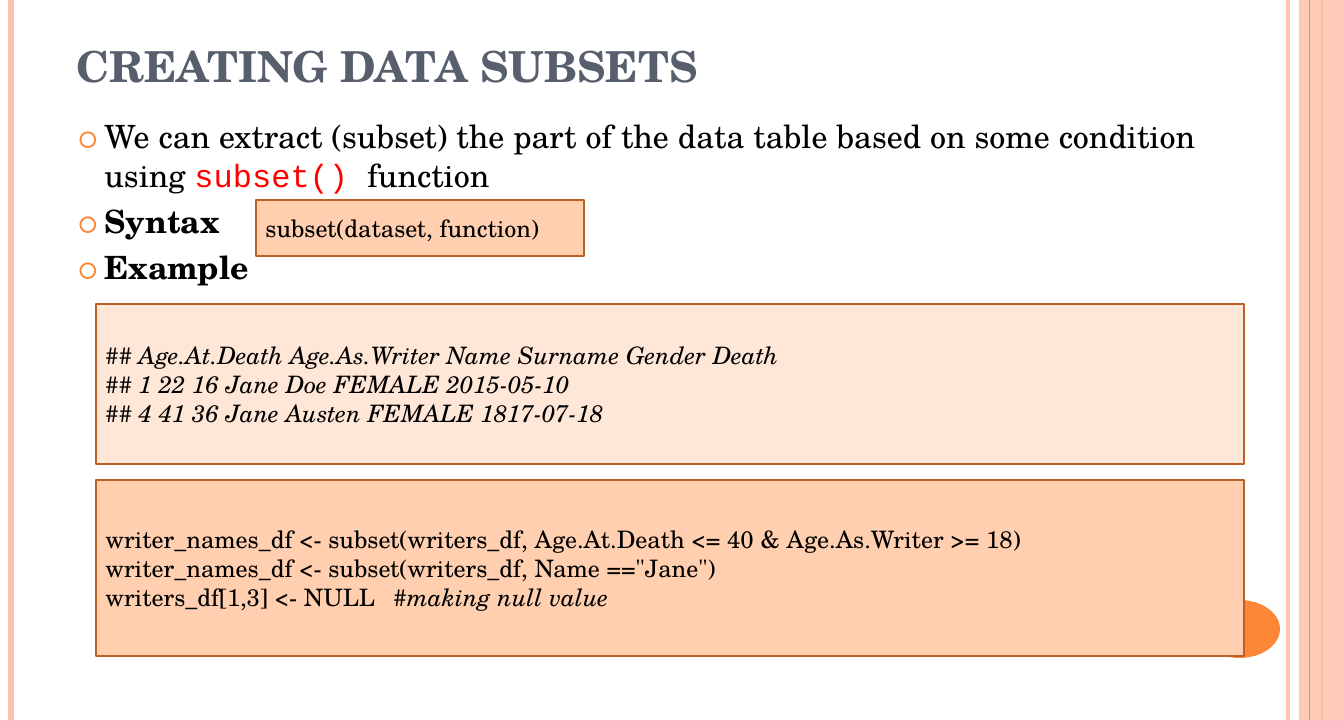
import pptx
import pptx.dml.color
import pptx.enum.shapes
import pptx.enum.text
import pptx.oxml.ns
import pptx.util
from lxml import etree

PX = 9525
SERIF, MONO = "TeX Gyre Schola", "Courier New"
COLORS = {
    "accent": "FE8637", "pale": "FEC3AE", "title": "575F6D", "text": "000000",
    "code": "FF0000", "border": "BB6126", "input": "FFCFAF", "output": "FFE7D7",
}
ANCHOR = pptx.enum.text.MSO_ANCHOR
SHAPE = pptx.enum.shapes.MSO_SHAPE


def px(*lengths):
    return [pptx.util.Emu(length * PX) for length in lengths]


def rgb(name):
    return pptx.dml.color.RGBColor.from_string(COLORS[name])


def add_child(parent, tag, **attributes):
    child = etree.SubElement(parent, pptx.oxml.ns.qn(tag))
    for key, value in attributes.items():
        child.set(key, value)
    return child


def set_opacity(element, percent):
    color = element.find(".//" + pptx.oxml.ns.qn("a:srgbClr"))
    add_child(color, "a:alpha", val=str(percent * 1000))


def add_rule(page, x, color, width, opacity=100):
    """Draw a vertical line over the full page height."""
    rule = page.shapes.add_connector(
        pptx.enum.shapes.MSO_CONNECTOR.STRAIGHT, *px(x, 0, x, 720))
    rule.line.color.rgb = rgb(color)
    rule.line.width = pptx.util.Pt(width)
    properties = rule._element.spPr
    if opacity < 100:
        set_opacity(properties, opacity)
    add_child(properties, "a:effectLst")


def add_shape(page, kind, bounds, fill, border=None, opacity=100):
    shape = page.shapes.add_shape(kind, *px(*bounds))
    shape.shadow.inherit = False
    shape.fill.solid()
    shape.fill.fore_color.rgb = rgb(fill)
    if opacity < 100:
        set_opacity(shape._element.spPr, opacity)
    if border:
        shape.line.color.rgb = rgb(border)
        shape.line.width = pptx.util.Pt(2)
    else:
        shape.line.fill.background()
    return shape


def set_font(font, size, color="text", bold=None, italic=None, name=SERIF):
    font.size = pptx.util.Pt(size)
    font.name = name
    font.color.rgb = rgb(color)
    font.bold = bold
    font.italic = italic


def add_paragraph(frame, index):
    para = frame.add_paragraph() if index else frame.paragraphs[0]
    para.alignment = pptx.enum.text.PP_ALIGN.LEFT
    return para


def add_code_box(page, bounds, fill, lines, italic=None):
    box = add_shape(page, SHAPE.RECTANGLE, bounds, fill, "border")
    frame = box.text_frame
    frame.word_wrap = True
    frame.vertical_anchor = ANCHOR.MIDDLE
    for index, line in enumerate(lines):
        para = add_paragraph(frame, index)
        set_font(para.font, 18, italic=italic)
        code, mark, comment = line.partition("\t#")
        para.add_run().text = code + mark[:1]
        if comment:
            span = para.add_run()
            span.text = "#" + comment
            span.font.italic = True


def add_text_box(page, bounds, anchor):
    frame = page.shapes.add_textbox(*px(*bounds)).text_frame
    frame.word_wrap = True
    frame.vertical_anchor = anchor
    return frame


def add_bullet(para):
    properties = para._p.get_or_add_pPr()
    indent = px(28)[0]
    properties.set("marL", str(indent))
    properties.set("indent", str(-indent))
    color = add_child(properties, "a:buClr")
    add_child(color, "a:srgbClr", val=COLORS["accent"])
    add_child(properties, "a:buFont", typeface=SERIF)
    add_child(properties, "a:buChar", char="○")


def add_title(page, text):
    para = add_text_box(page, (67, 29, 1221, 67), ANCHOR.BOTTOM).paragraphs[0]
    para.add_run().text = text
    set_font(para.font, 32, "title", bold=True)


def add_body(page, intro, headings):
    frame = add_text_box(page, (67, 112, 1221, 567), ANCHOR.TOP)
    para = add_paragraph(frame, 0)
    add_bullet(para)
    for text, name, color in intro:
        span = para.add_run()
        span.text = text
        set_font(span.font, 24, color, name=name)
    for index, heading in enumerate(headings, 1):
        para = add_paragraph(frame, index)
        para.space_before = pptx.util.Pt(6)
        add_bullet(para)
        para.add_run().text = heading
        set_font(para.font, 24, bold=True)


def add_decoration(page):
    add_rule(page, 1288, "pale", 3, opacity=93)
    add_rule(page, 11, "pale", 4.5)
    add_rule(page, 1322, "accent", 1.5)
    add_shape(page, SHAPE.RECTANGLE, (1299, 0, 45, 720), "pale", opacity=87)
    add_rule(page, 1310, "accent", 0.75)
    add_shape(page, SHAPE.OVAL, (1199, 600, 81, 58), "accent")


def main():
    deck = pptx.Presentation()
    deck.slide_width, deck.slide_height = px(1344, 720)
    page = deck.slides.add_slide(deck.slide_layouts[6])
    add_decoration(page)
    add_title(page, "CREATING DATA SUBSETS")
    add_body(page, [
        ("We can extract (subset) the part of the data table based on some "
         "condition using ", SERIF, "text"),
        ("subset() ", MONO, "code"),
        ("function", SERIF, "text"),
    ], ["Syntax", "Example"])
    add_code_box(page, (96, 480, 1148, 176), "input", [
        "writer_names_df <- subset(writers_df, Age.At.Death <= 40 & Age.As.Writer >= 18)",
        'writer_names_df <- subset(writers_df, Name =="Jane")',
        "writers_df[1,3] <- NULL\t#making null value",
    ])
    add_code_box(page, (96, 304, 1148, 160), "output", [
        "## Age.At.Death Age.As.Writer Name Surname Gender Death",
        "## 1 22 16 Jane Doe FEMALE 2015-05-10",
        "## 4 41 36 Jane Austen FEMALE 1817-07-18",
    ], italic=True)
    add_code_box(page, (256, 200, 328, 56), "input", ["subset(dataset, function)"])
    deck.save("out.pptx")


if __name__ == "__main__":
    main()
